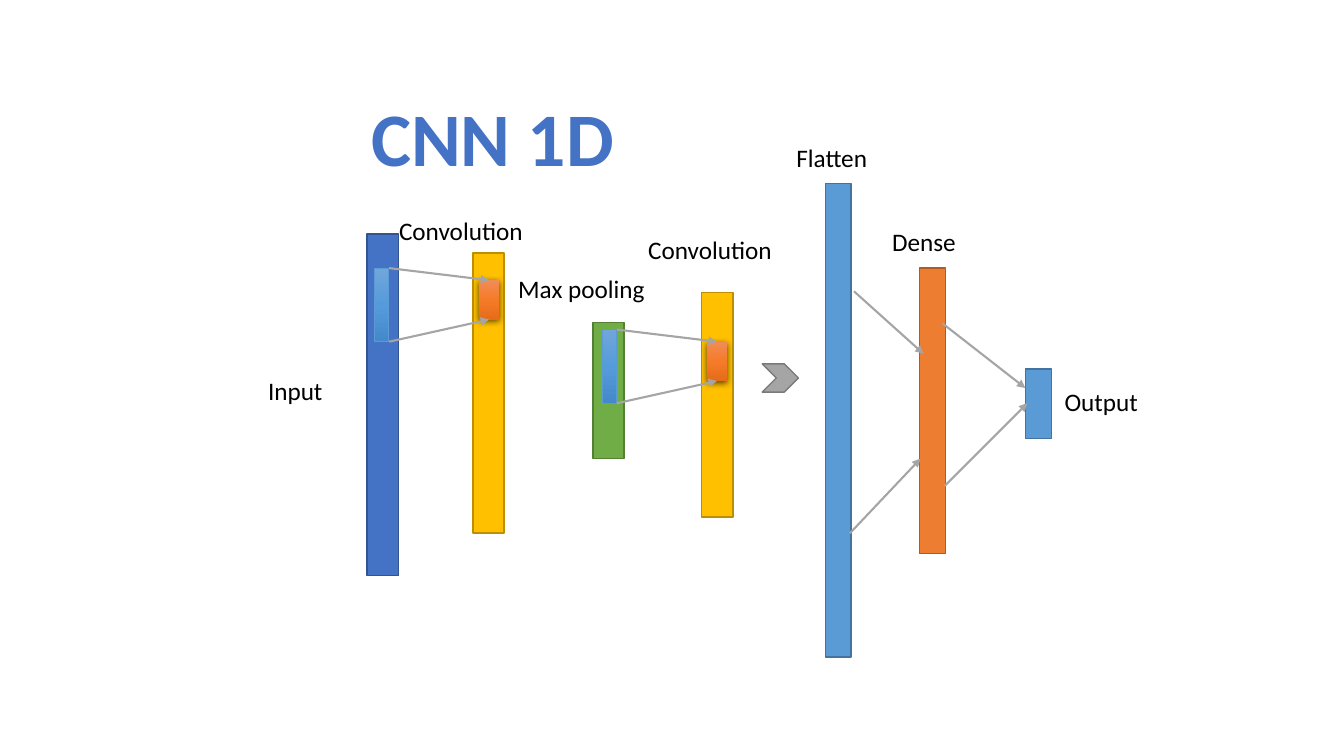
from dataclasses import dataclass

from lxml.etree import SubElement
from pptx import Presentation
from pptx.dml.color import RGBColor
from pptx.enum.shapes import MSO_CONNECTOR, MSO_SHAPE
from pptx.enum.text import MSO_ANCHOR, MSO_AUTO_SIZE, PP_ALIGN
from pptx.oxml.ns import qn
from pptx.util import Inches, Pt


@dataclass(frozen=True)
class Theme:
    font: str = "Calibri"
    label_size: float = 18
    title_size: float = 54
    text: str = "000000"
    white: str = "FFFFFF"
    blue: tuple = ("4472C4", "325491")
    gold: tuple = ("FFC000", "BD8E00")
    green: tuple = ("70AD47", "538035")
    sky: tuple = ("5B9BD5", "43739E")
    orange: tuple = ("ED7D31", "AF5C24")
    gray: tuple = ("A5A5A5", "7A7A7A")
    window_gradient: tuple = ("71A6DB", "559BDB", "448ACA")
    feature_gradient: tuple = ("F18C57", "F67B28", "E56C19")
    outline: float = 1
    thin: float = 0.5
    arrow: float = 1.5
    title_outline: float = 0.75


THEME = Theme()
SLIDE_WIDTH = Inches(13.33)
SLIDE_HEIGHT = Inches(7.5)
COLUMN = SLIDE_WIDTH / 133.3
ROW = SLIDE_HEIGHT / 75

LAYERS = [
    (36.4, 23.2, 3.1, 33.9, THEME.blue),
    (46.9, 25.1, 3.1, 27.8, THEME.gold),
    (69.6, 29, 3.1, 22.3, THEME.gold),
    (58.8, 32, 3.1, 13.5, THEME.green),
    (81.9, 18.2, 2.5, 47, THEME.sky),
    (91.2, 26.6, 2.6, 28.3, THEME.orange),
    (101.7, 36.6, 2.6, 6.9, THEME.sky),
]
LABELS = [
    ("Input", 25.6, 36.7, 9.9),
    ("Convolution", 38.6, 20.9, 19.3),
    ("Max pooling", 50.4, 26.6, 19.8),
    ("Convolution", 63.3, 22.8, 19.3),
    ("Flatten", 78, 13.6, 11.8),
    ("Dense", 87.5, 22, 10.8),
    ("Output", 104.6, 37.8, 12.1),
]
DENSE_ARROWS = [
    (93.5, 32.1, 101.7, 38.5),
    (93.7, 48.2, 101.9, 40),
    (84.7, 28.9, 91.6, 35.1),
    (84.3, 52.9, 91.3, 45.5),
]
WINDOWS = [(37.1, 26.6), (59.7, 32.7)]


def place(left, top, width, height):
    return [round(left * COLUMN), round(top * ROW), round(width * COLUMN), round(height * ROW)]


def color(value):
    return RGBColor.from_string(value)


def add_text(slide, text, box, size=THEME.label_size, fill=THEME.text, bold=False,
             align=PP_ALIGN.LEFT, outline=None):
    frame = slide.shapes.add_textbox(*place(*box)).text_frame
    frame.word_wrap = True
    frame.auto_size = MSO_AUTO_SIZE.SHAPE_TO_FIT_TEXT
    frame.vertical_anchor = MSO_ANCHOR.TOP
    paragraph = frame.paragraphs[0]
    paragraph.alignment = align
    run = paragraph.add_run()
    run.text = text
    run.font.name = THEME.font
    run.font.size = Pt(size)
    run.font.bold = bold
    run.font.color.rgb = color(fill)
    if outline:
        properties = run.font._element
        line = SubElement(properties, qn("a:ln"), w=str(Pt(THEME.title_outline)))
        solid = SubElement(line, qn("a:solidFill"))
        SubElement(solid, qn("a:srgbClr"), val=outline)
        properties.insert(0, line)


def add_block(slide, box, colors, kind=MSO_SHAPE.RECTANGLE):
    shape = slide.shapes.add_shape(kind, *place(*box))
    shape.shadow.inherit = False
    fill, line = colors
    shape.fill.solid()
    shape.fill.fore_color.rgb = color(fill)
    shape.line.color.rgb = color(line)
    shape.line.width = Pt(THEME.outline)


def add_gradient_block(slide, box, gradient):
    shape = slide.shapes.add_shape(MSO_SHAPE.RECTANGLE, *place(*box))
    shape.shadow.inherit = False
    shape.fill.gradient()
    shape.fill.gradient_angle = 270
    stops = shape._element.spPr.find(".//" + qn("a:gsLst"))
    for stop in list(stops):
        stops.remove(stop)
    for position, value in zip((0, 50000, 100000), gradient):
        stop = SubElement(stops, qn("a:gs"), pos=str(position))
        SubElement(stop, qn("a:srgbClr"), val=value)
    return shape


def add_shadow(shape):
    effects = shape._element.spPr.find(qn("a:effectLst"))
    shadow = SubElement(effects, qn("a:outerShdw"), blurRad=str(Pt(4.5)), dist=str(Pt(1.5)),
                        dir="5400000", algn="ctr", rotWithShape="0")
    tint = SubElement(shadow, qn("a:srgbClr"), val=THEME.text)
    SubElement(tint, qn("a:alpha"), val="63000")


def add_arrow(slide, start_column, start_row, end_column, end_row):
    ends = place(start_column, start_row, end_column, end_row)
    connector = slide.shapes.add_connector(MSO_CONNECTOR.STRAIGHT, *ends)
    connector.line.color.rgb = color(THEME.gray[0])
    connector.line.width = Pt(THEME.arrow)
    properties = connector._element.spPr
    SubElement(properties.find(qn("a:ln")), qn("a:tailEnd"), type="triangle")
    SubElement(properties, qn("a:effectLst"))


def add_convolution_window(slide, left, top):
    window = add_gradient_block(slide, (left, top, 1.4, 7.3), THEME.window_gradient)
    window.line.color.rgb = color(THEME.sky[0])
    window.line.width = Pt(THEME.thin)
    feature = add_gradient_block(slide, (left + 10.4, top + 1.2, 2, 3.9), THEME.feature_gradient)
    feature.line.fill.background()
    add_shadow(feature)
    for start, end in ((0, 1.2), (7.3, 5.1)):
        add_arrow(slide, left + 1.5, top + start, left + 11.4, top + end)


def main():
    presentation = Presentation()
    presentation.slide_width = SLIDE_WIDTH
    presentation.slide_height = SLIDE_HEIGHT
    slide = presentation.slides.add_slide(presentation.slide_layouts[6])
    for *box, colors in LAYERS:
        add_block(slide, box, colors)
    for text, left, top, width in LABELS:
        add_text(slide, text, (left, top, width, 4.6))
    add_block(slide, (75.6, 36.1, 3.6, 2.8), THEME.gray, MSO_SHAPE.CHEVRON)
    for left, top in WINDOWS:
        add_convolution_window(slide, left, top)
    for arrow in DENSE_ARROWS:
        add_arrow(slide, *arrow)
    add_text(slide, "CNN 1D", (31.9, 8.5, 33.9, 10.1), size=THEME.title_size,
             fill=THEME.blue[0], bold=True, align=PP_ALIGN.CENTER, outline=THEME.white)
    presentation.save("out.pptx")


if __name__ == "__main__":
    main()
